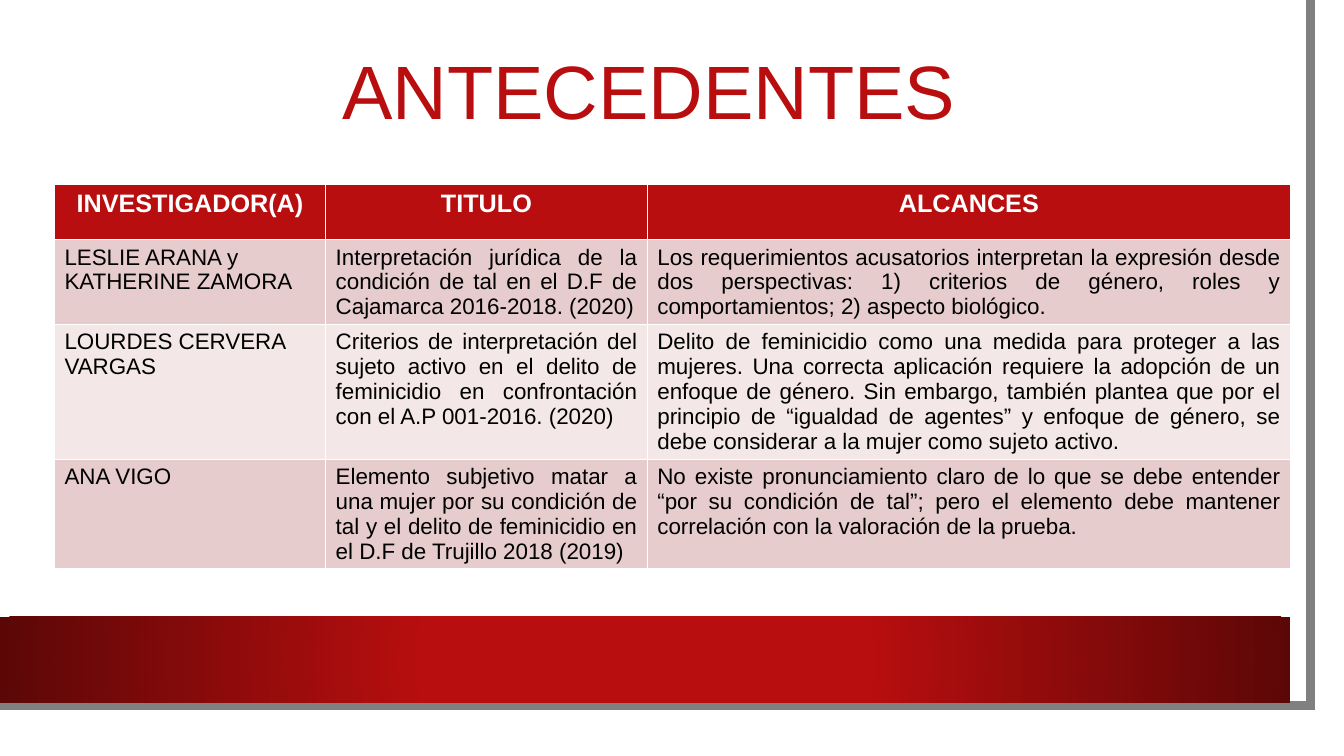
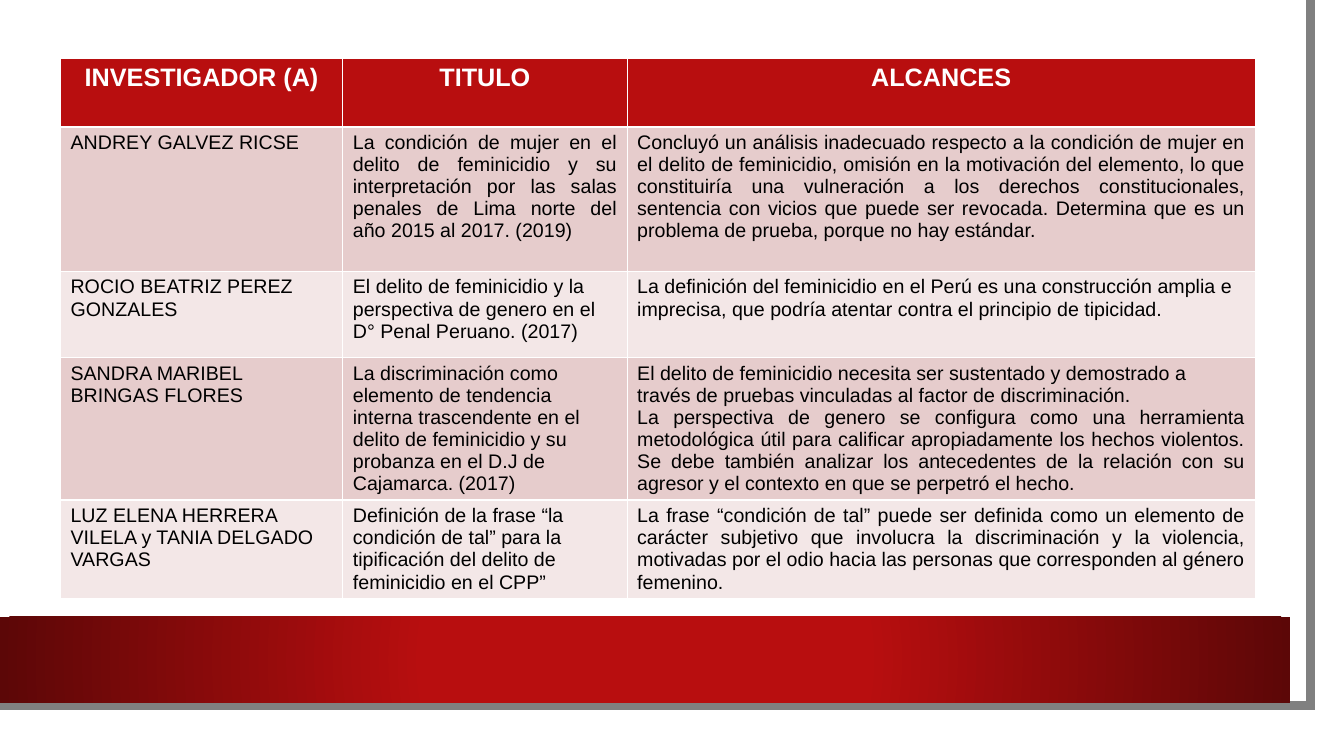
import pptx
import pptx.dml.color
import pptx.enum.shapes
import pptx.enum.text
import pptx.oxml
import pptx.oxml.ns
import pptx.util

Inches = pptx.util.Inches
Align = pptx.enum.text.PP_ALIGN
COLOURS = {
    "red": "B80E0F",
    "dark_red": "5C0707",
    "grey": "808080",
    "white": "FFFFFF",
    "black": "000000",
    "pink": "E6CCCC",
    "pale_pink": "F3E7E7",
}
FONT = "Arial"


class Justified(str):
    pass


class Deck:
    def __init__(self):
        self.presentation = pptx.Presentation()
        self.presentation.slide_width = Inches(13.33)
        self.presentation.slide_height = Inches(7.5)
        self.slide = None

    def colour(self, name):
        return pptx.dml.color.RGBColor.from_string(COLOURS[name])

    def add_slide(self, title=None):
        layout = self.presentation.slide_layouts[5 if title else 6]
        self.slide = self.presentation.slides.add_slide(layout)
        if title:
            self.title(title)

    def style(self, paragraph, size, colour, bold=False, alignment=Align.LEFT):
        paragraph.alignment = alignment
        for run in paragraph.runs:
            run.font.name = FONT
            run.font.size = pptx.util.Pt(size)
            run.font.bold = bold
            run.font.color.rgb = self.colour(colour)

    def title(self, text):
        shape = self.slide.shapes.title
        shape.left, shape.top = Inches(0.75), Inches(0.31)
        shape.width, shape.height = Inches(11.37), Inches(1.26)
        frame = shape.text_frame
        frame.text = text
        frame.auto_size = pptx.enum.text.MSO_AUTO_SIZE.NONE
        frame.vertical_anchor = pptx.enum.text.MSO_ANCHOR.MIDDLE
        frame.paragraphs[0].line_spacing = 0.9
        self.style(frame.paragraphs[0], 54, "red", alignment=Align.CENTER)

    def rectangle(self, left, top, width, height):
        shape = self.slide.shapes.add_shape(
            pptx.enum.shapes.MSO_SHAPE.RECTANGLE,
            Inches(left), Inches(top), Inches(width), Inches(height))
        shape.shadow.inherit = False
        shape.line.fill.background()
        return shape

    def panel(self):
        shape = self.rectangle(0, 0, 13.1, 7.27)
        shape.fill.solid()
        shape.fill.fore_color.rgb = self.colour("white")
        return shape

    def edge(self):
        builder = self.slide.shapes.build_freeform(12.82, 0, scale=Inches(1))
        builder.add_line_segments([(12.85, 7.02), (-0.03, 7.01)], close=False)
        shape = builder.convert_to_shape()
        shape.shadow.inherit = False
        shape.fill.background()
        shape.line.width = pptx.util.Pt(6.5)
        shape.line.color.rgb = self.colour("grey")
        outline = shape.element.find(".//" + pptx.oxml.ns.qn("a:ln"))
        outline.append(pptx.oxml.parse_xml(
            f'<a:miter {pptx.oxml.ns.nsdecls("a")} lim="800000"/>'))
        return shape

    def band(self):
        shape = self.rectangle(0, 6.12, 12.8, 0.85)
        shape.fill.gradient()
        stops = [(0.34, "red"), (1, "dark_red")]
        for stop, (position, name) in zip(shape.fill.gradient_stops, stops):
            stop.position = position
            stop.color.rgb = self.colour(name)
        linear = shape.element.find(".//" + pptx.oxml.ns.qn("a:lin"))
        linear.getparent().replace(linear, pptx.oxml.parse_xml(
            f'<a:path {pptx.oxml.ns.nsdecls("a")} path="circle">'
            '<a:fillToRect l="50000" t="50000" r="50000" b="50000"/></a:path>'))
        return shape

    def backdrop(self):
        tree = self.presentation.slide_master.shapes.element
        for index, shape in enumerate([self.panel(), self.edge(), self.band()]):
            properties = shape.element.find(".//" + pptx.oxml.ns.qn("p:cNvPr"))
            properties.set("id", str(100 + index))
            tree.insert(2 + index, shape.element)

    def table(self, left, top, widths, heights, rows, size):
        table = self.slide.shapes.add_table(
            len(rows), len(widths), Inches(left), Inches(top),
            Inches(sum(widths)), Inches(sum(heights))).table
        for column, width in zip(table.columns, widths):
            column.width = Inches(width)
        for index, (row, height, texts) in enumerate(zip(table.rows, heights, rows)):
            row.height = Inches(height)
            for cell, content in zip(row.cells, texts):
                self.cell(cell, content, index, size)

    def cell(self, cell, content, row_index, size):
        header = row_index == 0
        fill = "red" if header else "pink" if row_index % 2 else "pale_pink"
        cell.fill.solid()
        cell.fill.fore_color.rgb = self.colour(fill)
        texts = content if isinstance(content, tuple) else (content,)
        cell.text_frame.text = "\n".join(texts)
        for paragraph, text in zip(cell.text_frame.paragraphs, texts):
            if header:
                self.style(paragraph, 18, "white", True, Align.CENTER)
            else:
                justified = isinstance(text, Justified)
                self.style(paragraph, size, "black",
                           alignment=Align.JUSTIFY if justified else Align.LEFT)


FIRST_STUDIES = [
    ("INVESTIGADOR(A)", "TITULO", "ALCANCES"),
    ("LESLIE ARANA y KATHERINE ZAMORA",
     Justified("Interpretación jurídica de la condición de tal en el D.F de "
               "Cajamarca 2016-2018. (2020)"),
     Justified("Los requerimientos acusatorios interpretan la expresión desde dos "
               "perspectivas: 1) criterios de género, roles y comportamientos; "
               "2) aspecto biológico.")),
    ("LOURDES CERVERA VARGAS",
     Justified("Criterios de interpretación del sujeto activo en el delito de "
               "feminicidio en confrontación con el A.P 001-2016. (2020)"),
     Justified("Delito de feminicidio como una medida para proteger a las mujeres. "
               "Una correcta aplicación requiere la adopción de un enfoque de género. "
               "Sin embargo, también plantea que por el principio de “igualdad de "
               "agentes” y enfoque de género, se debe considerar a la mujer como "
               "sujeto activo.")),
    ("ANA VIGO",
     Justified("Elemento subjetivo matar a una mujer por su condición de tal y el "
               "delito de feminicidio en el D.F de Trujillo 2018 (2019)"),
     Justified("No existe pronunciamiento claro de lo que se debe entender “por su "
               "condición de tal”; pero el elemento debe mantener correlación con la "
               "valoración de la prueba.")),
]

SECOND_STUDIES = [
    ("INVESTIGADOR (A)", "TITULO", "ALCANCES"),
    ("ANDREY GALVEZ RICSE",
     Justified("La condición de mujer en el delito de feminicidio y su interpretación "
               "por las salas penales de Lima norte del año 2015 al 2017. (2019)"),
     Justified("Concluyó un análisis inadecuado respecto a la condición de mujer en el "
               "delito de feminicidio, omisión en la motivación del elemento, lo que "
               "constituiría una vulneración a los derechos constitucionales, sentencia "
               "con vicios que puede ser revocada. Determina que es un problema de "
               "prueba, porque no hay estándar.")),
    ("ROCIO BEATRIZ PEREZ GONZALES",
     "El delito de feminicidio y la perspectiva de genero en el D° Penal Peruano. (2017)",
     "La definición del feminicidio en el Perú es una construcción amplia e imprecisa, "
     "que podría atentar contra el principio de tipicidad."),
    ("SANDRA MARIBEL BRINGAS FLORES",
     "La discriminación como elemento de tendencia interna trascendente en el delito de "
     "feminicidio y su probanza en el D.J de Cajamarca. (2017)",
     ("El delito de feminicidio necesita ser sustentado y demostrado a través de pruebas "
      "vinculadas al factor de discriminación.",
      Justified("La perspectiva de genero se configura como una herramienta metodológica "
                "útil para calificar apropiadamente los hechos violentos. Se debe también "
                "analizar los antecedentes de la relación con su agresor y el contexto en "
                "que se perpetró el hecho."))),
    ("LUZ ELENA HERRERA VILELA y TANIA DELGADO VARGAS",
     "Definición de la frase “la condición de tal” para la tipificación del delito de "
     "feminicidio en el CPP”",
     Justified("La frase “condición de tal” puede ser definida como un elemento de "
               "carácter subjetivo que involucra la discriminación y la violencia, "
               "motivadas por el odio hacia las personas que corresponden al género "
               "femenino.")),
]


def main():
    deck = Deck()
    deck.add_slide("ANTECEDENTES")
    deck.backdrop()
    deck.table(0.54, 1.83, [2.69, 3.19, 6.38], [0.55, 0.84, 1.33, 1.09],
               FIRST_STUDIES, 16)
    deck.add_slide()
    deck.table(0.6, 0.58, [2.8, 2.82, 6.23], [0.68, 1.43, 0.86, 1.41, 0.97],
               SECOND_STUDIES, 14)
    deck.presentation.save("out.pptx")


if __name__ == "__main__":
    main()
